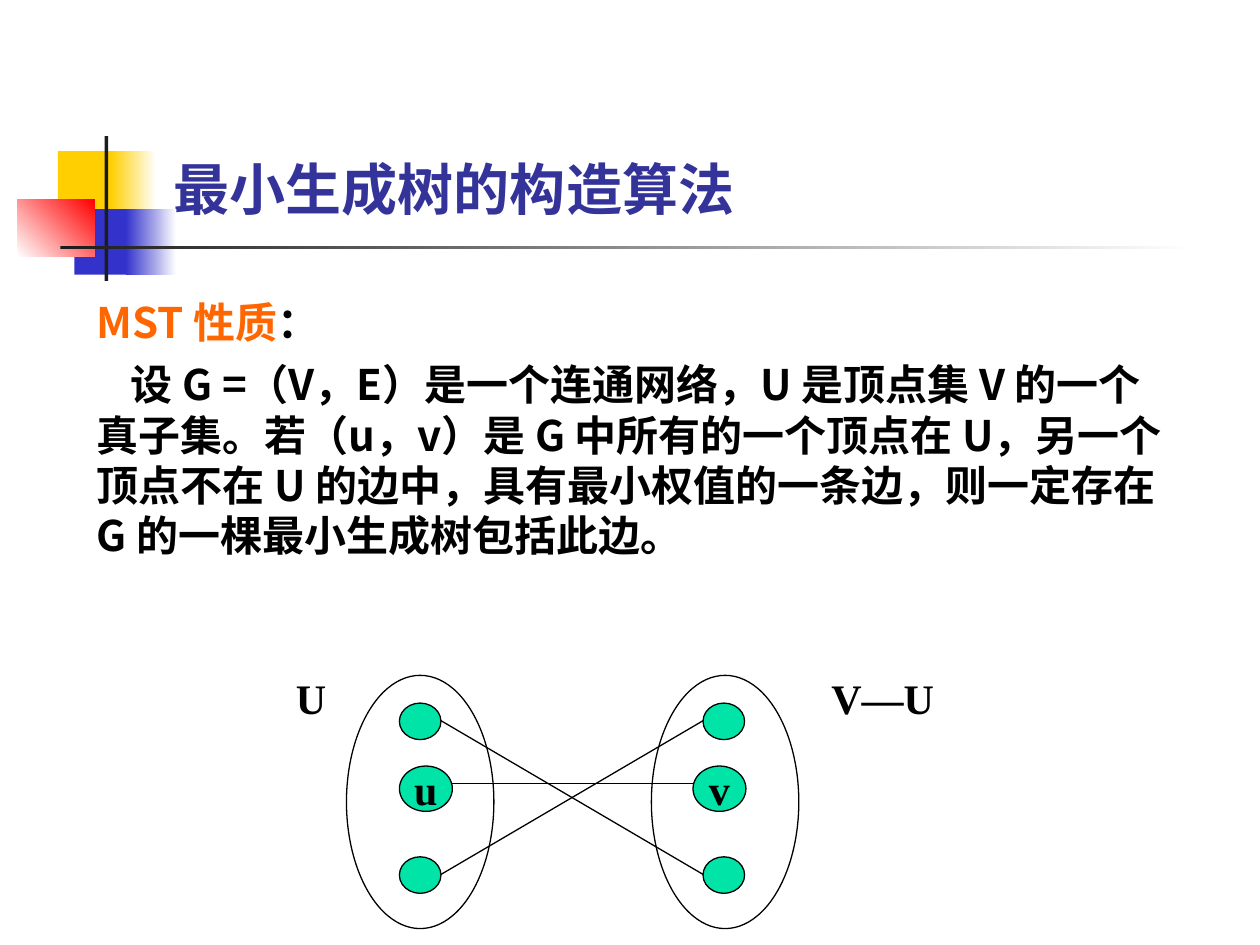
from pptx import Presentation
from pptx.dml.color import RGBColor
from pptx.enum.shapes import MSO_CONNECTOR, MSO_SHAPE
from pptx.enum.text import MSO_ANCHOR, PP_ALIGN
from pptx.oxml.ns import qn
from pptx.util import Inches, Pt
from lxml import etree

RECT, OVAL = MSO_SHAPE.RECTANGLE, MSO_SHAPE.OVAL
LINE = MSO_CONNECTOR.STRAIGHT
TOP, MIDDLE = MSO_ANCHOR.TOP, MSO_ANCHOR.MIDDLE
LEFT, CENTER = PP_ALIGN.LEFT, PP_ALIGN.CENTER
SANS, SERIF = "Noto Sans CJK SC", "Times New Roman"

BLACK = RGBColor(0, 0, 0)
WHITE = RGBColor(255, 255, 255)
GOLD = RGBColor(0xFF, 0xCF, 0x01)
BLUE = RGBColor(0x33, 0x33, 0xCC)
NAVY = RGBColor(0x33, 0x33, 0x99)
RED = RGBColor(255, 0, 0)
DARK = RGBColor(0x1C, 0x1C, 0x1C)
ORANGE = RGBColor(0xFF, 0x66, 0)
GREEN = RGBColor(0, 0xE4, 0xA8)

TITLE = "最小生成树的构造算法"
HEAD = [("MST 性质", ORANGE), ("：", BLACK)]
BODY = [(
    "设 G =（V，E）是一个连通网络，U 是顶点集 V 的一个真子集。"
    "若（u，v）是 G 中所有的一个顶点在 U，另一个顶点不在 U 的边中，"
    "具有最小权值的一条边，则一定存在 G 的一棵最小生成树包括此边。", BLACK)]

DECOR = [
    ((0.46, 1.2, 0.48, 0.52), (GOLD,), 0),
    ((0.88, 1.2, 0.36, 0.52), (GOLD, WHITE), 0),
    ((0.59, 1.66, 0.46, 0.52), (BLUE,), 0),
    ((1, 1.66, 0.4, 0.52), (BLUE, WHITE), 0),
    ((0.14, 1.58, 0.61, 0.46), (WHITE, RED), 45),
    ((0.83, 1.08, 0.03, 1.15), (DARK,), 0),
    ((0.48, 1.95, 9, 0.03), (DARK, WHITE), 0),
]
SETS = [(2.75, 3.17, 3.17, "u"), (5.17, 5.58, 5.5, "v")]
NODES = (5.58, 6.8)
EDGES = [(3.58, 6.22, 5.5, 6.22), (3.5, 6.94, 5.58, 5.72),
         (3.5, 5.72, 5.58, 6.94)]
LABELS = [("U", (2.25, 5.29, 0.5, 0.5)), ("V—U", (6.5, 5.29, 1.17, 0.5))]


def write(shape, paras, size=24, font=SERIF, anchor=TOP, align=LEFT,
          wrap=True, gap=0, indent=0):
    frame = shape.text_frame
    frame.word_wrap, frame.vertical_anchor = wrap, anchor
    for i, runs in enumerate(paras):
        para = frame.add_paragraph() if i else frame.paragraphs[0]
        para.alignment = align
        para.space_before = Pt(gap if i else 0)
        if i and indent:
            para._p.get_or_add_pPr().set("indent", str(Inches(indent)))
        for text, color in runs:
            run = para.add_run()
            run.text = text
            run.font.size, run.font.bold = Pt(size), True
            run.font.name, run.font.color.rgb = font, color
            east = etree.SubElement(run.font._element, qn("a:ea"))
            east.set("typeface", SANS)


def draw(shapes, kind, box, fills=(), angle=0, line=None):
    shape = shapes.add_shape(kind, *map(Inches, box))
    shape.shadow.inherit = False
    if len(fills) == 2:
        shape.fill.gradient()
        shape.fill.gradient_angle = angle
        for stop, color in zip(shape.fill.gradient_stops, fills):
            stop.color.rgb = color
    elif fills:
        shape.fill.solid()
        shape.fill.fore_color.rgb = fills[0]
    else:
        shape.fill.background()
    if line is None:
        shape.line.fill.background()
    else:
        shape.line.color.rgb, shape.line.width = line, Pt(0.75)
    return shape


def main():
    deck = Presentation()
    deck.slide_width, deck.slide_height = Inches(10), Inches(7.5)
    slide = deck.slides.add_slide(deck.slide_layouts[5])
    shapes = slide.shapes

    for box, fills, angle in DECOR:
        draw(shapes, RECT, box, fills, angle)

    title = shapes.title
    title.left, title.top = Inches(1.28), Inches(0.99)
    title.width, title.height = Inches(7.98), Inches(1)
    write(title, [[(TITLE, NAVY)]], size=32, anchor=MIDDLE)

    body = shapes.add_textbox(*map(Inches, (0.67, 2.3, 8.75, 2.21)))
    write(body, [HEAD, BODY], font=SANS, gap=7, indent=0.27)

    graph = shapes.add_group_shape().shapes
    for ring, small, big, name in SETS:
        draw(graph, OVAL, (ring, 5.36, 1.17, 2.01), line=BLACK)
        node = draw(graph, OVAL, (big, 6.08, 0.42, 0.36), (GREEN,), line=BLACK)
        write(node, [[(name, BLACK)]], anchor=MIDDLE, align=CENTER, wrap=False)
        for y in NODES:
            draw(graph, OVAL, (small, y, 0.33, 0.29), (GREEN,), line=BLACK)
    for edge in EDGES:
        link = graph.add_connector(LINE, *map(Inches, edge))
        link.line.color.rgb, link.line.width = BLACK, Pt(0.75)
        etree.SubElement(link._element.spPr, qn("a:effectLst"))
    for text, box in LABELS:
        write(graph.add_textbox(*map(Inches, box)), [[(text, BLACK)]])

    deck.save("out.pptx")


if __name__ == "__main__":
    main()
